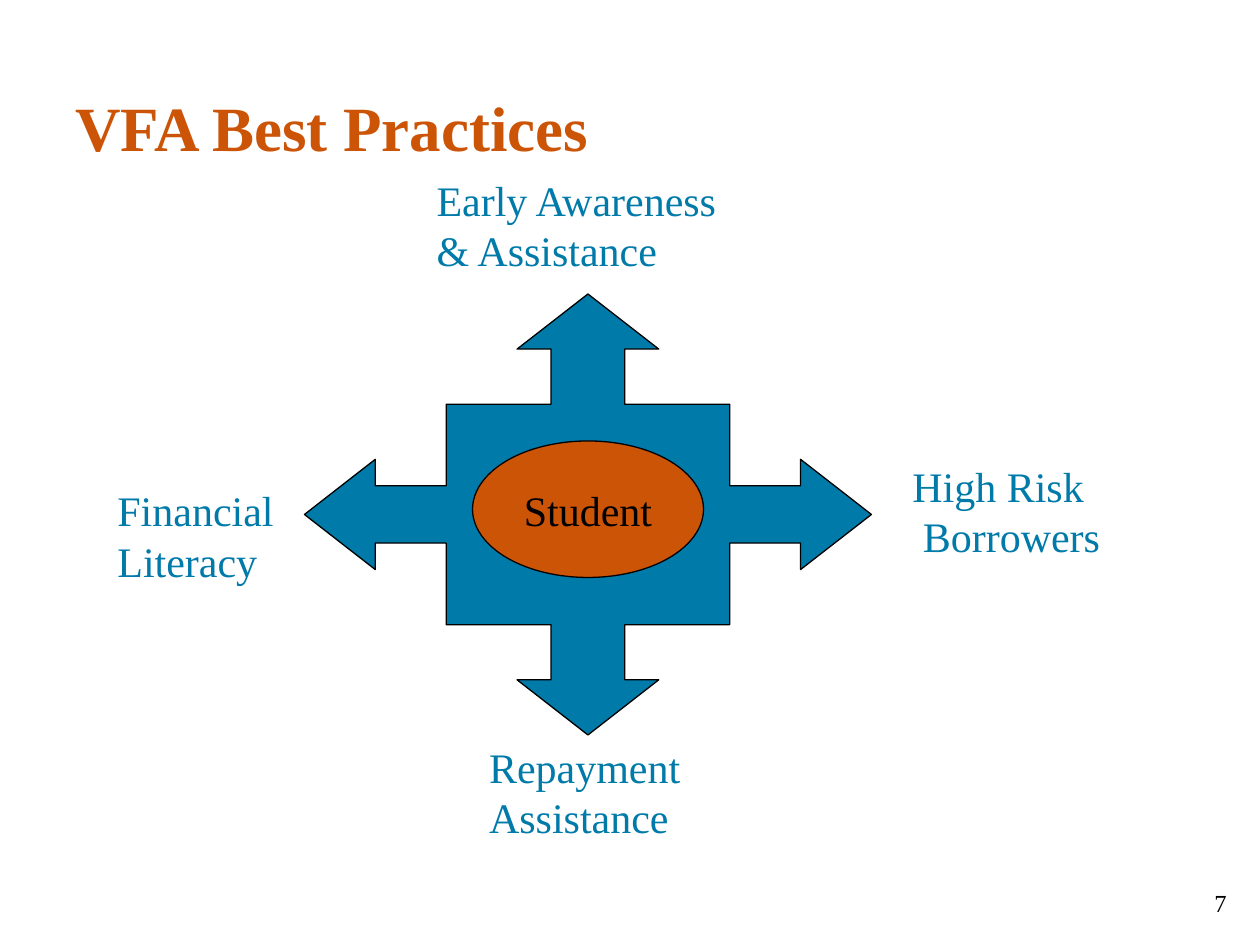
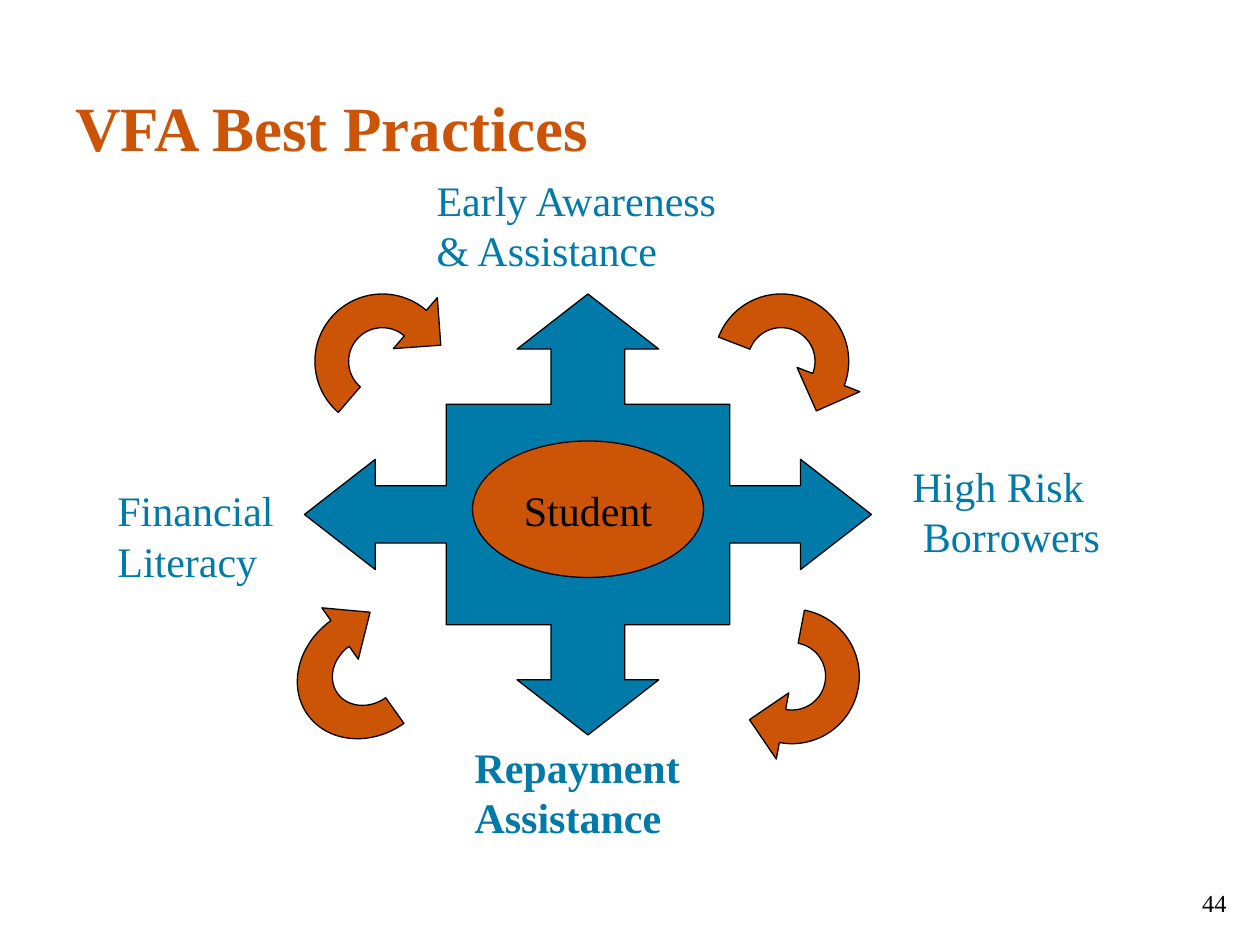
import math
from lxml import etree
from pptx import Presentation
from pptx.dml.color import RGBColor
from pptx.enum import shapes, text
from pptx.oxml.ns import qn
from pptx.util import Pt

FONT = "Times New Roman"
ORANGE, BLUE, BLACK = "CC5407", "007AA9", "000000"


def paint(shape, fill):
    """Give a shape a solid fill and a thin black outline, without shadow."""
    shape.shadow.inherit = False
    shape.fill.solid()
    shape.fill.fore_color.rgb = RGBColor.from_string(fill)
    shape.line.color.rgb = RGBColor.from_string(BLACK)
    shape.line.width = Pt(0.75)


def write(shape, lines, size, color, bold=False, align=text.PP_ALIGN.LEFT,
          anchor=text.MSO_ANCHOR.TOP, wrap=False):
    frame = shape.text_frame
    frame.word_wrap = wrap
    frame.vertical_anchor = anchor
    for i, line in enumerate(lines):
        paragraph = frame.add_paragraph() if i else frame.paragraphs[0]
        paragraph.alignment = align
        run = paragraph.add_run()
        run.text = line
        run.font.name = FONT
        run.font.size = Pt(size)
        run.font.bold = bold
        run.font.color.rgb = RGBColor.from_string(color)


# Four-way arrow: one side in units of the half size, turned by quarters
side = [(-0.5, -0.5), (-0.13, -0.5), (-0.13, -0.75), (-0.25, -0.75),
        (0, -1), (0.25, -0.75), (0.13, -0.75), (0.13, -0.5)]
four_way = []
for quarter in range(4):
    four_way += side
    side = [(-y, x) for x, y in side]

# Circular arrow: a half ring over the top with its head pointing down.
# Each half circle is two Bézier curves: a start, then triples of points.
k = 4 / 3 * (math.sqrt(2) - 1)
half_circle = [(1, 0), (1, -k), (k, -1), (0, -1), (-k, -1), (-1, -k), (-1, 0)]
inner_arc = [(x / 2, y / 2) for x, y in half_circle]
outer_arc = half_circle[::-1]
circular = inner_arc + outer_arc + [(1.25, 0), (0.75, 0.5), (0.25, 0)]
curve_starts = [1, 4, 8, 11]

# Outline, curve starts, left, top, width, height, clockwise turn, colour
cross = (four_way, [], 174, 168, 324, 252, 0, BLUE)
cycle = [
    (circular, curve_starts, 180, 168, 77, 77, 310.8, ORANGE),
    (circular, curve_starts, 408, 168, 77, 77, 21.1, ORANGE),
    (circular, curve_starts, 414, 348, 77, 77, 100.7, ORANGE),
    (circular, curve_starts, 174, 342, 72, 84, 234.6, ORANGE),
]

# Lines, left, top, width, indent of the second line
student_needs = [
    (("Financial", "Literacy"), 60, 273.5, 109.5, 0),
    (("Early Awareness", "& Assistance"), 242.4, 96, 183.5, 0),
]
high_risk = (("High Risk", "Borrowers"), 514.25, 259.5, 121.5, 6)
repayment = ("Repayment", "Assistance")

# Page number, repayment label, its weight, circular arrows
pages = [
    ("7", (repayment, 272.4, 420, 135.5, 0), False, []),
    ("44", (repayment, 264.1, 420, 143.5, 0), True, cycle),
]

prs = Presentation()
prs.slide_width, prs.slide_height = Pt(720), Pt(540)

for number, repayment_label, emphasis, arrows in pages:
    slide = prs.slides.add_slide(prs.slide_layouts[6])
    title = slide.shapes.add_textbox(Pt(36), Pt(42), Pt(600), Pt(60))
    write(title, ["VFA Best Practices"], 36, ORANGE, bold=True,
          anchor=text.MSO_ANCHOR.MIDDLE, wrap=True)

    def_arrows = []
    for outline, curves, left, top, width, height, turn, color in [cross]:
        def_arrows.append((outline, curves, left, top, width, height, turn, color))

    student = None
    for outline, curves, left, top, width, height, turn, color in def_arrows + arrows:
        points = [(Pt(left + (x + 1) * width / 2), Pt(top + (y + 1) * height / 2))
                  for x, y in outline]
        builder = slide.shapes.build_freeform(*points[0])
        builder.add_line_segments(points[1:], close=True)
        arrow = builder.convert_to_shape()
        paint(arrow, color)

        # The head of a circular arrow reaches beyond the box it turns in
        arrow.width, arrow.height, arrow.rotation = Pt(width), Pt(height), turn
        outline_path = next(arrow._element.iter(qn("a:path")))
        outline_path.set("w", str(Pt(width)))
        outline_path.set("h", str(Pt(height)))
        segments = list(outline_path)
        for start in curves:
            curve = etree.Element(qn("a:cubicBezTo"))
            segments[start].addprevious(curve)
            for segment in segments[start:start + 3]:
                curve.append(segment[0])
                outline_path.remove(segment)

        if student is None:
            student = slide.shapes.add_shape(shapes.MSO_SHAPE.OVAL,
                                             Pt(270), Pt(252), Pt(132), Pt(78))
            paint(student, ORANGE)
            write(student, ["Student"], 24, BLACK, align=text.PP_ALIGN.CENTER,
                  anchor=text.MSO_ANCHOR.MIDDLE)

    for label in student_needs + [repayment_label, high_risk]:
        lines, left, top, width, indent = label
        need = slide.shapes.add_textbox(Pt(left), Pt(top), Pt(width), Pt(65))
        write(need, lines, 24, BLUE, bold=emphasis and label is repayment_label)
        need.text_frame.auto_size = text.MSO_AUTO_SIZE.SHAPE_TO_FIT_TEXT
        if indent:
            second_line = need.text_frame.paragraphs[1]
            second_line._p.get_or_add_pPr().set("marL", str(Pt(indent)))

    page_number = slide.shapes.add_textbox(Pt(558), Pt(504), Pt(150), Pt(36))
    write(page_number, [number], 14, BLACK, align=text.PP_ALIGN.RIGHT, wrap=True)

prs.save("out.pptx")
